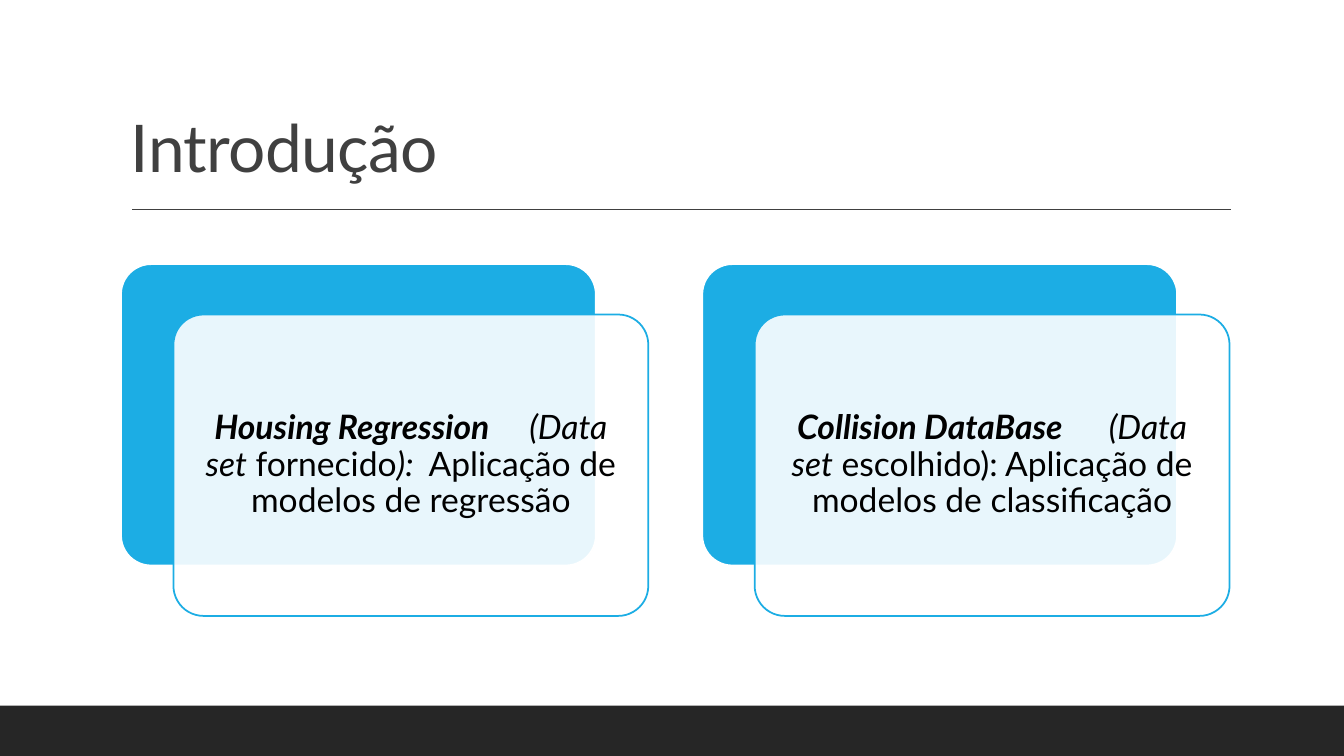
from pptx import Presentation
from pptx.dml.color import RGBColor
from pptx.enum.shapes import MSO_CONNECTOR as CONN, MSO_SHAPE as SHAPE
from pptx.enum.text import MSO_ANCHOR as ANCHOR, PP_ALIGN as ALIGN
from pptx.oxml.ns import qn
from pptx.util import Inches, Pt
from lxml import etree

TITLE = "Introdução"
# Each run: text, bold, italic, letter spacing in points
CARDS = [
    [("Housing Regression", True, True, 0),
     (" ", True, True, 23.2),
     ("(Data set", False, True, 0),
     (" fornecido", False, False, 0),
     ("):", False, True, 0),
     (" ", False, False, 4.6),
     ("Aplicação de modelos de regressão", False, False, 0)],
    [("Collision DataBase", True, True, 0),
     (" ", True, True, 27.8),
     ("(Data set", False, True, 0),
     (" escolhido): Aplicação de modelos de classificação", False, False, 0)],
]

FONT = "Lato"
WHITE = RGBColor(0xFF, 0xFF, 0xFF)
BLACK = RGBColor(0, 0, 0)
BLUE = RGBColor(0x1C, 0xAD, 0xE4)
GREY = RGBColor(0x40, 0x40, 0x40)
DARK = RGBColor(0x26, 0x26, 0x26)

SLIDE_W, SLIDE_H, FOOTER_H = 13.33, 7.5, 0.5
CARD_X, CARD_Y, CARD_W, CARD_H = 1.2, 2.62, 4.71, 2.99
CARD_PITCH, SHIFT_X, SHIFT_Y = 5.765, 0.52, 0.5


def add_box(kind, x, y, w, h, fill, line=None):
    sp = slide.shapes.add_shape(kind, Inches(x), Inches(y), Inches(w), Inches(h))
    sp.shadow.inherit = False
    sp.fill.solid()
    sp.fill.fore_color.rgb = fill
    if line is None:
        sp.line.fill.background()
    else:
        sp.line.color.rgb = line
        sp.line.width = Pt(1.25)
    if kind == SHAPE.ROUNDED_RECTANGLE:
        sp.adjustments[0] = 0.1
    return sp


def style(p, size, color):
    p.line_spacing = 0.9
    p.font.name = FONT
    p.font.size = Pt(size)
    p.font.color.rgb = color


def set_spacing(r, points):
    r._r.get_or_add_rPr().set("spc", str(round(points * 100)))


prs = Presentation()
prs.slide_width, prs.slide_height = Inches(SLIDE_W), Inches(SLIDE_H)
slide = prs.slides.add_slide(prs.slide_layouts[6])

add_box(SHAPE.RECTANGLE, 0, SLIDE_H - FOOTER_H, SLIDE_W, FOOTER_H, DARK)

rule = slide.shapes.add_connector(
    CONN.STRAIGHT, Inches(1.31), Inches(2.08), Inches(12.21), Inches(2.08))
rule.line.color.rgb = GREY
rule.line.width = Pt(1)
etree.SubElement(rule._element.spPr, qn("a:effectLst"))

title = slide.shapes.add_textbox(Inches(1.2), Inches(0.31), Inches(11), Inches(1.59))
tf = title.text_frame
tf.word_wrap = True
tf.vertical_anchor = ANCHOR.BOTTOM
p = tf.paragraphs[0]
style(p, 47, GREY)
r = p.add_run()
r.text = TITLE
set_spacing(r, -0.5)

for i, runs in enumerate(CARDS):
    x = CARD_X + i * CARD_PITCH
    add_box(SHAPE.ROUNDED_RECTANGLE, x, CARD_Y, CARD_W, CARD_H, BLUE, WHITE)
    front = add_box(SHAPE.ROUNDED_RECTANGLE, x + SHIFT_X, CARD_Y + SHIFT_Y,
                    CARD_W, CARD_H, WHITE, BLUE)
    color = front._element.spPr.find(qn("a:solidFill"))[0]
    etree.SubElement(color, qn("a:alpha")).set("val", "90000")

    tf = front.text_frame
    tf.word_wrap = True
    tf.vertical_anchor = ANCHOR.MIDDLE
    tf.margin_left = tf.margin_right = Inches(0.1)
    tf.margin_top = tf.margin_bottom = Inches(0.1)
    p = tf.paragraphs[0]
    p.alignment = ALIGN.CENTER
    style(p, 24, BLACK)
    for text, bold, italic, spacing in runs:
        r = p.add_run()
        r.text = text
        r.font.bold, r.font.italic = bold, italic
        if spacing:
            set_spacing(r, spacing)

prs.save("out.pptx")
